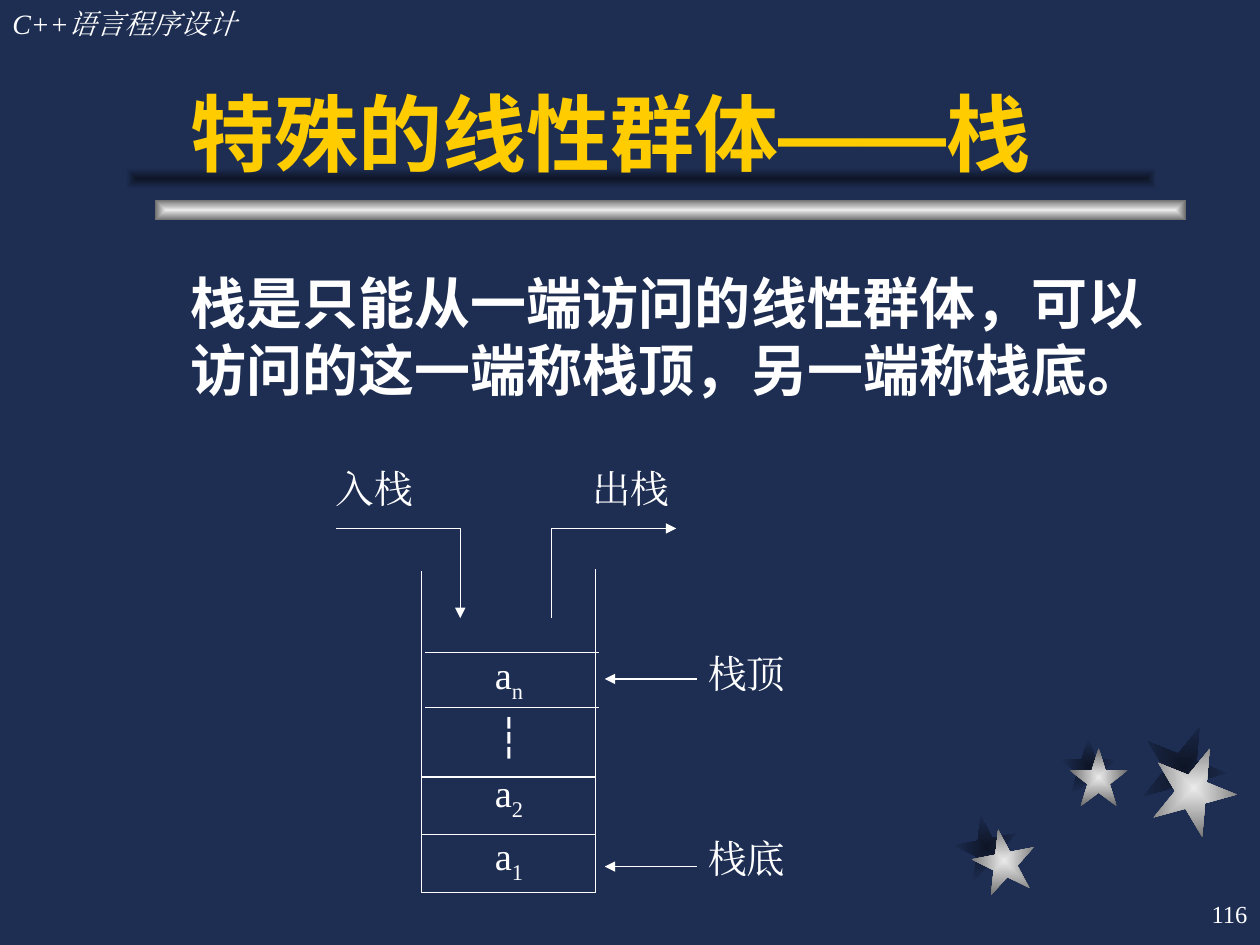
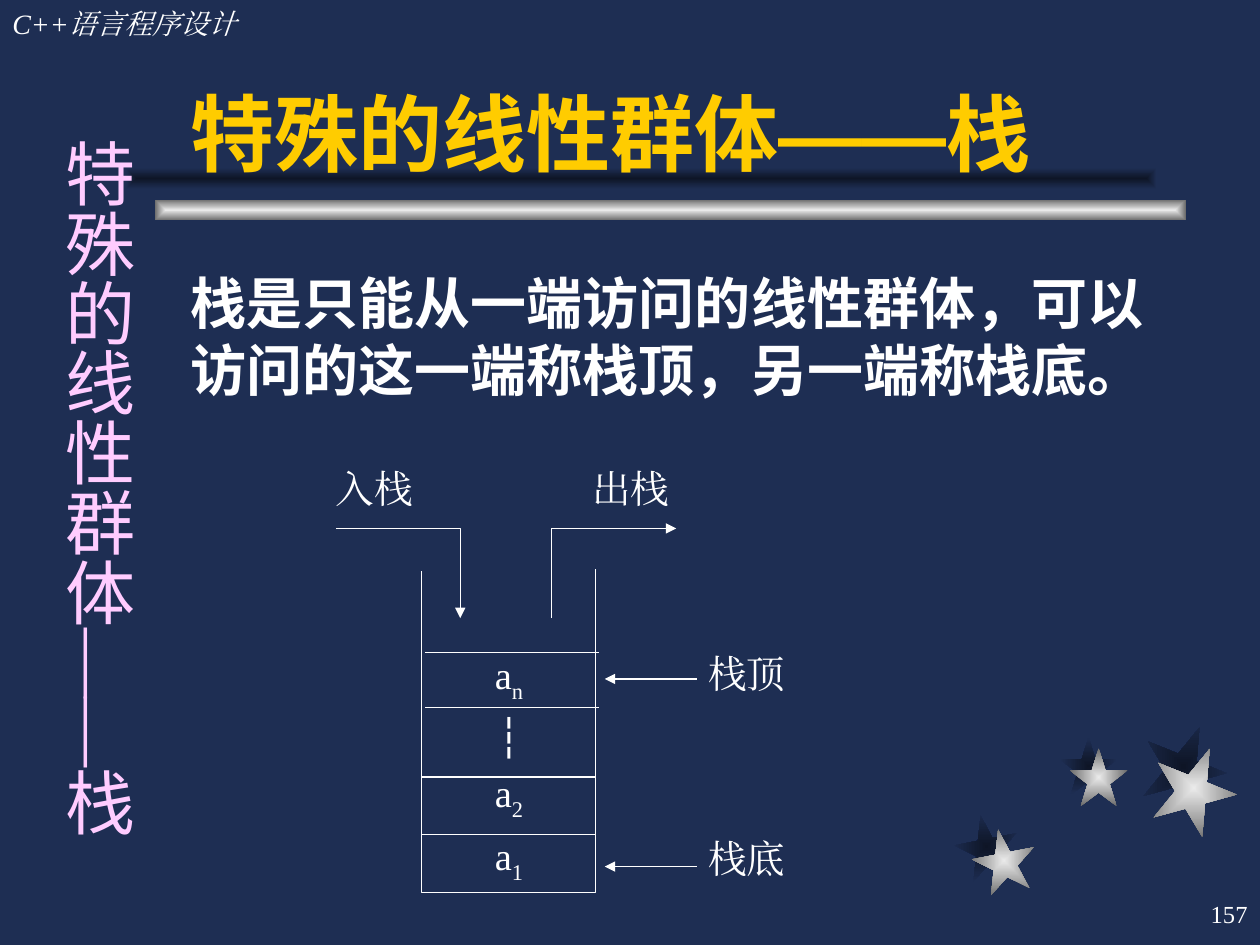
import pptx
import pptx.dml.color
import pptx.enum.shapes
import pptx.enum.text
import pptx.oxml
import pptx.oxml.ns
import pptx.util
from lxml import etree

Pt = pptx.util.Pt
RGBColor = pptx.dml.color.RGBColor
SHAPES = pptx.enum.shapes.MSO_SHAPE
ALIGN = pptx.enum.text.PP_ALIGN
ANCHOR = pptx.enum.text.MSO_ANCHOR
qn = pptx.oxml.ns.qn

# Colours
NAVY = RGBColor(0x1E, 0x2E, 0x53)
DARK_NAVY = RGBColor(0x0E, 0x15, 0x26)
SILVER = RGBColor(0xEA, 0xEA, 0xEA)
GREY = RGBColor(0x6C, 0x6C, 0x6C)
WHITE = RGBColor(0xFF, 0xFF, 0xFF)
GOLD = RGBColor(0xFF, 0xCC, 0x00)
PINK = RGBColor(0xFF, 0xCC, 0xFF)

SHADE = (DARK_NAVY, NAVY)
METAL = (SILVER, GREY)

# Text styles
SERIF = "Times New Roman"
HEADER = {"name": SERIF, "size": Pt(16), "italic": True, "color": WHITE}
NUMBER = {"name": SERIF, "size": Pt(14), "color": WHITE}
TITLE = {"name": "Arial", "size": Pt(48), "bold": True, "color": GOLD}
BODY = {"name": "Arial", "size": Pt(32), "bold": True, "color": WHITE}
LABEL = {"name": SERIF, "size": Pt(22), "color": WHITE}
SIDE = {"name": "Noto Sans CJK SC", "size": Pt(40), "color": PINK}

TEXT_INSETS = (7.2, 3.6, 7.2, 3.6)
NO_INSETS = (0, 0, 0, 0)
SUBSCRIPT = {"baseline": -25000}

# Stars: left, top, size, rotation
SHADOW_STARS = [(545.8, 465.8, 36, 349), (605.5, 421.2, 33.1, 0), (652.3, 414, 48.2, 22)]
METAL_STARS = [(555.8, 473.8, 36, 349), (611.3, 427.6, 33.1, 0), (658.1, 426.2, 48.2, 22)]


class Painter:
    """Holds the deck, the line style and the current page."""

    def __init__(self, deck):
        self.deck = deck
        self.page = None
        self.line_color = WHITE
        self.line_width = Pt(0.75)

    def new_page(self):
        self.page = self.deck.slides.add_slide(self.deck.slide_layouts[6])
        fill = self.page.background.fill
        fill.solid()
        fill.fore_color.rgb = NAVY

    def glow(self, kind, left, top, width, height, colors, rotation=0):
        """A preset shape that shades from its centre to its edge."""
        shape = self.page.shapes.add_shape(kind, Pt(left), Pt(top), Pt(width), Pt(height))
        shape.shadow.inherit = False
        shape.rotation = rotation
        shape.line.fill.background()
        shape.fill.gradient()
        for stop, position, color in zip(shape.fill.gradient_stops, (0, 1), colors):
            stop.position = position
            stop.color.rgb = color
        gradient = shape.element.spPr.find(qn("a:gradFill"))
        gradient.remove(gradient.find(qn("a:lin")))
        centre = etree.SubElement(gradient, qn("a:path"), path="rect")
        etree.SubElement(centre, qn("a:fillToRect"), l="50000", t="50000", r="50000", b="50000")

    def style_line(self, shape, arrow):
        shape.line.color.rgb = self.line_color
        shape.line.width = self.line_width
        if arrow:
            outline = shape.element.spPr.find(qn("a:ln"))
            etree.SubElement(outline, qn("a:tailEnd"), type="triangle")

    def line(self, start, end, arrow=False):
        ends = [Pt(value) for value in (*start, *end)]
        connector = self.page.shapes.add_connector(
            pptx.enum.shapes.MSO_CONNECTOR.STRAIGHT, *ends)
        self.style_line(connector, arrow)
        etree.SubElement(connector.element.spPr, qn("a:effectLst"))

    def polyline(self, points, arrow=False):
        points = [(Pt(x), Pt(y)) for x, y in points]
        builder = self.page.shapes.build_freeform(*points[0])
        builder.add_line_segments(points[1:], close=False)
        shape = builder.convert_to_shape()
        shape.fill.background()
        self.style_line(shape, arrow)
        shape.shadow.inherit = False

    def text(self, left, top, width, height, paragraphs, style, insets=TEXT_INSETS,
             anchor=ANCHOR.TOP, **paragraph_format):
        """Paragraphs are lists of (words, changes to the style)."""
        box = self.page.shapes.add_textbox(Pt(left), Pt(top), Pt(width), Pt(height))
        frame = box.text_frame
        frame.word_wrap = True
        frame.vertical_anchor = anchor
        for side, inset in zip(("left", "top", "right", "bottom"), insets):
            setattr(frame, "margin_" + side, Pt(inset))
        for index, spans in enumerate(paragraphs):
            para = frame.paragraphs[0] if index == 0 else frame.add_paragraph()
            for name, value in paragraph_format.items():
                setattr(para, name, value)
            for words, changes in spans:
                span = para.add_run()
                span.text = words
                self.style_span(span, {**style, **changes})
        return box

    def style_span(self, span, values):
        properties = span._r.get_or_add_rPr()
        for name, value in values.items():
            if name == "color":
                span.font.color.rgb = value
            elif name == "baseline":
                properties.set("baseline", str(value))
            else:
                setattr(span.font, name, value)
        etree.SubElement(properties, qn("a:ea"), typeface=values["name"])


def draw_frame(painter, number):
    """Stars, title bar, header and page number."""
    for stars, colors in ((SHADOW_STARS, SHADE), (METAL_STARS, METAL)):
        for left, top, size, rotation in stars:
            painter.glow(SHAPES.STAR_5_POINT, left, top, size, size, colors, rotation)
    painter.glow(SHAPES.RECTANGLE, 88.6, 114, 589, 12, METAL)
    painter.glow(SHAPES.RECTANGLE, 72, 96, 589, 12, SHADE)
    painter.text(0, 0, 222, 26.6, [[("C++语言程序设计", {})]], HEADER)
    painter.text(570, 504, 150, 36, [[(number, {})]], NUMBER,
                 anchor=ANCHOR.MIDDLE, alignment=ALIGN.RIGHT)


def draw_stack(painter):
    """The open container, its cells, and the arrows around it."""
    left, right, bottom = 241, 340.2, 510
    painter.polyline([(left, 326.6), (left, bottom), (right, bottom), (right, 325.4)])
    cells = [[("a", {}), ("n", SUBSCRIPT)], [("┆", {})],
             [("a", {}), ("2", SUBSCRIPT)], [("a", {}), ("1", SUBSCRIPT)]]
    painter.text(246.2, 366, 89.3, 143.3, cells, LABEL, NO_INSETS,
                 alignment=ALIGN.CENTER, line_spacing=1.2)
    for y, shift in ((477, 0), (373, 1.8), (404.4, 1.8), (444, 0)):
        painter.line((left + shift, y), (right + shift, y))

    # Push and pop
    painter.polyline([(192, 302), (263, 302), (263, 353.2)], arrow=True)
    painter.polyline([(315.2, 353.2), (315.2, 302), (386.4, 302)], arrow=True)
    for x, words in ((192, "入栈"), (338.6, "出栈")):
        painter.text(x, 265.7, 67.7, 31, [[(words, {})]], LABEL, NO_INSETS,
                     alignment=ALIGN.JUSTIFY)

    # Top and bottom of the stack
    for arrow_y, label_y, words in ((388, 371.5, "栈顶"), (495.2, 477.4, "栈底")):
        painter.line((398.2, arrow_y), (345.6, arrow_y), arrow=True)
        painter.text(404.8, label_y, 117.4, 33, [[(words, {})]], LABEL, NO_INSETS,
                     alignment=ALIGN.JUSTIFY)


def draw_stack_page(painter, number):
    painter.new_page()
    draw_frame(painter, number)
    painter.text(102, 18, 564, 90, [[("特殊的线性群体——栈", {})]], TITLE,
                 anchor=ANCHOR.BOTTOM)
    definition = "栈是只能从一端访问的线性群体，可以访问的这一端称栈顶，另一端称栈底。"
    painter.text(102, 150, 570, 138, [[(definition, {})]], BODY)
    draw_stack(painter)


def draw_side_title(painter):
    """Section name that runs down the left edge."""
    spans = [("特殊的线性群体", {}), ("——", {"name": SERIF}), ("栈", {})]
    box = painter.text(21.6, 72, 62, 416, [spans], SIDE, (3.6, 7.2, 3.6, 7.2))
    box.text_frame.auto_size = pptx.enum.text.MSO_AUTO_SIZE.SHAPE_TO_FIT_TEXT
    box.element.txBody.find(qn("a:bodyPr")).set("vert", "eaVert")


def main():
    deck = pptx.Presentation()
    deck.slide_width, deck.slide_height = Pt(720), Pt(540)
    painter = Painter(deck)
    draw_stack_page(painter, "116")
    draw_stack_page(painter, "157")
    draw_side_title(painter)
    deck.save("out.pptx")


if __name__ == "__main__":
    main()
